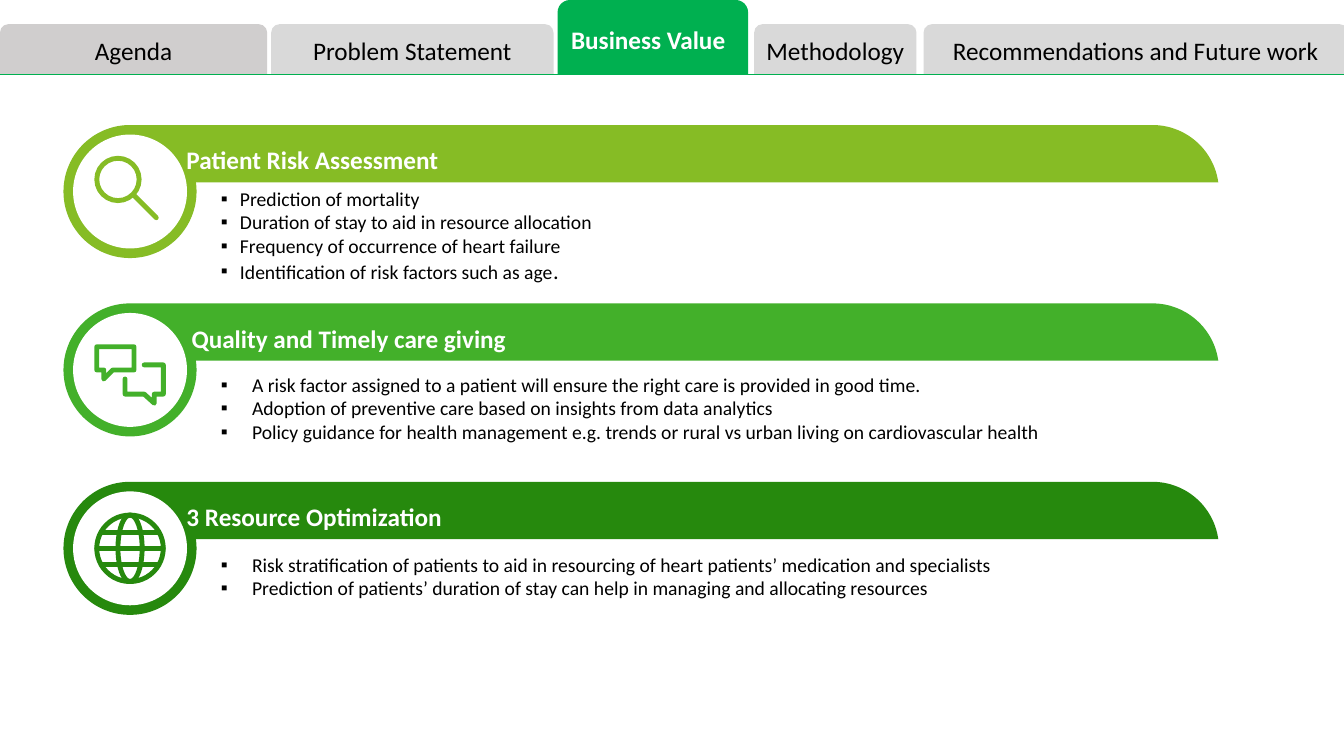
"""Build the Business Value slide with its tab bar and three benefit rows."""
from math import cos, radians, sin

from lxml.etree import SubElement
from pptx import Presentation
from pptx.dml.color import RGBColor
from pptx.enum.shapes import MSO_CONNECTOR as Connector, MSO_SHAPE as Preset
from pptx.enum.text import MSO_ANCHOR as Anchor, PP_ALIGN as Align
from pptx.oxml.ns import qn
from pptx.util import Inches, Pt

COLORS = {
    "white": "FFFFFF", "black": "000000", "active": "00B050", "tab": "D9D9D9",
    "agenda": "D0CECE", "lime": "86BC25", "green": "43B02A", "forest": "26890D",
}
RADIUS = 0.66
DISC = 0.565
CENTER_X = 1.29
BANNER_END = 11.43
FIRST_TOP, ROW_PITCH = 1.24, 1.77
STROKE = 3.5


def arc(x, y, start, stop):
    """Return points every two degrees along a banner arc."""
    return [(x + RADIUS * cos(radians(a)), y + RADIUS * sin(radians(a)))
            for a in range(start, stop + 1, 2)]


def write(para, text, size, color, bold=False):
    """Add one formatted run to a paragraph."""
    span = para.add_run()
    span.text = text
    span.font.name = "Calibri"
    span.font.size = Pt(size)
    span.font.bold = bold
    span.font.color.rgb = RGBColor.from_string(COLORS[color])


deck = Presentation()
deck.slide_width, deck.slide_height = Inches(13.33), Inches(7.5)
page = deck.slides.add_slide(deck.slide_layouts[6])
shapes = page.shapes

tabs = [
    ("Agenda", 0, 2.65, "agenda"),
    ("Problem Statement", 2.69, 2.8, "tab"),
    ("Business Value", 5.53, 1.89, "active"),
    ("Methodology", 7.48, 1.61, "tab"),
    ("Recommendations and Future work", 9.16, 4.21, "tab"),
]
for label, left, width, color in tabs:
    active = color == "active"
    top = 0 if active else 0.24
    tab = shapes.add_shape(Preset.ROUND_2_SAME_RECTANGLE, Inches(left), Inches(top),
                           Inches(width), Inches(0.74 - top))
    tab.shadow.inherit = False
    tab.fill.solid()
    tab.fill.fore_color.rgb = RGBColor.from_string(COLORS[color])
    tab.line.fill.background()
    tab.text_frame.word_wrap = active
    tab.text_frame.vertical_anchor = Anchor.MIDDLE
    para = tab.text_frame.paragraphs[0]
    para.alignment = Align.LEFT if active else Align.CENTER
    para.space_after = Pt(6 if active else 0)
    write(para, label, 18, "white" if active else "black", active)

magnifier = {
    "ovals": [(-0.12, -0.12, 0.21, 0.21)],
    "lines": [(0.04, 0.04, 0.26, 0.26)],
    "outlines": [],
}
bubbles = {
    "ovals": [],
    "lines": [],
    "outlines": [
        ([(-0.33, -0.23), (0.04, -0.23), (0.04, 0), (-0.17, 0),
          (-0.26, 0.09), (-0.26, 0), (-0.33, 0)], True),
        ([(0.14, -0.05), (0.33, -0.05), (0.33, 0.24), (0.24, 0.24),
          (0.24, 0.33), (0.14, 0.24), (-0.05, 0.24), (-0.05, 0.09)], False),
    ],
}
globe = {
    "ovals": [(0, 0, 0.33, 0.33), (0, 0, 0.12, 0.33)],
    "lines": [(-half, y, half, y) for half, y in ((0.28, -0.16), (0.33, 0), (0.28, 0.16))],
    "outlines": [],
}
rows = [
    ("Patient Risk Assessment", "lime", magnifier, 1.22, 0.72, 0.19, [
        [("Prediction of mortality", 14)],
        [("Duration of stay to aid in resource allocation", 14)],
        [("Frequency of occurrence of heart failure", 14)],
        [("Identification of risk factors such as age", 14), (".", 16)],
    ]),
    ("Quality and Timely care giving", "green", bubbles, 1.27, 0.66, 0.31, [
        [("A risk factor assigned to a patient will ensure the right care is provided in good time.", 14)],
        [("Adoption of preventive care based on insights from data analytics", 14)],
        [("Policy guidance for health management e.g. trends or rural vs urban living on cardiovascular health", 14)],
    ]),
    ("3 Resource Optimization", "forest", globe, 1.22, 0.56, 0.31, [
        [("Risk stratification of patients to aid in resourcing of heart patients’ medication and specialists", 14)],
        [("Prediction of patients’ duration of stay can help in managing and allocating resources", 14)],
    ]),
]
lines = [(0, 0.74, 13.33, 0.74, "active", 0.5)]
for index, (heading, color, icon, inset, box_drop, indent, bullets) in enumerate(rows):
    top = FIRST_TOP + index * ROW_PITCH
    center_y = top + RADIUS
    tone = RGBColor.from_string(COLORS[color])

    edge = [(Inches(x), Inches(y)) for x, y in
            arc(BANNER_END, center_y, -90, -8) + arc(CENTER_X, center_y, -8, 270)]
    builder = shapes.build_freeform(*edge[0], scale=1.0)
    builder.add_line_segments(edge[1:], close=True)
    banner = builder.convert_to_shape()
    banner.shadow.inherit = False
    banner.fill.solid()
    banner.fill.fore_color.rgb = tone
    banner.line.fill.background()
    frame = banner.text_frame
    frame.word_wrap = True
    frame.vertical_anchor = Anchor.MIDDLE
    frame.margin_left, frame.margin_bottom = Inches(inset), Inches(0.63)
    frame.margin_top = frame.margin_right = 0
    frame.paragraphs[0].alignment = Align.LEFT
    write(frame.paragraphs[0], heading, 18, "white", True)

    disc = shapes.add_shape(Preset.OVAL, Inches(CENTER_X - DISC), Inches(center_y - DISC),
                            Inches(2 * DISC), Inches(2 * DISC))
    disc.shadow.inherit = False
    disc.fill.solid()
    disc.fill.fore_color.rgb = RGBColor.from_string(COLORS["white"])
    disc.line.fill.background()

    strokes = [shapes.add_shape(Preset.OVAL, Inches(CENTER_X + x - rx), Inches(center_y + y - ry),
                                Inches(2 * rx), Inches(2 * ry))
               for x, y, rx, ry in icon["ovals"]]
    for points, closed in icon["outlines"]:
        corners = [(Inches(CENTER_X + x), Inches(center_y + y)) for x, y in points]
        builder = shapes.build_freeform(*corners[0], scale=1.0)
        builder.add_line_segments(corners[1:], close=closed)
        strokes.append(builder.convert_to_shape())
    for stroke in strokes:
        stroke.shadow.inherit = False
        stroke.fill.background()
        stroke.line.color.rgb = tone
        stroke.line.width = Pt(STROKE)
        stroke.element.spPr.find(qn("a:ln")).set("cap", "rnd")
    lines += [(CENTER_X + x1, center_y + y1, CENTER_X + x2, center_y + y2, color, STROKE)
              for x1, y1, x2, y2 in icon["lines"]]

    box = shapes.add_textbox(Inches(2.19), Inches(top + box_drop), Inches(9.89), Inches(0.75))
    frame = box.text_frame
    frame.word_wrap = True
    frame.vertical_anchor = Anchor.MIDDLE
    frame.margin_left = frame.margin_right = frame.margin_top = frame.margin_bottom = 0
    for number, spans in enumerate(bullets):
        para = frame.add_paragraph() if number else frame.paragraphs[0]
        settings = para._p.get_or_add_pPr()
        settings.set("marL", str(Inches(indent)))
        settings.set("indent", str(-Inches(indent)))
        SubElement(settings, qn("a:buFont")).set("typeface", "Arial")
        SubElement(settings, qn("a:buChar")).set("char", "▪")
        for text, size in spans:
            write(para, text, size, "black")

for x1, y1, x2, y2, color, width in lines:
    line = shapes.add_connector(Connector.STRAIGHT, Inches(x1), Inches(y1), Inches(x2), Inches(y2))
    line.line.color.rgb = RGBColor.from_string(COLORS[color])
    line.line.width = Pt(width)
    line.element.spPr.find(qn("a:ln")).set("cap", "rnd")
    SubElement(line.element.spPr, qn("a:effectLst"))

deck.save("out.pptx")
